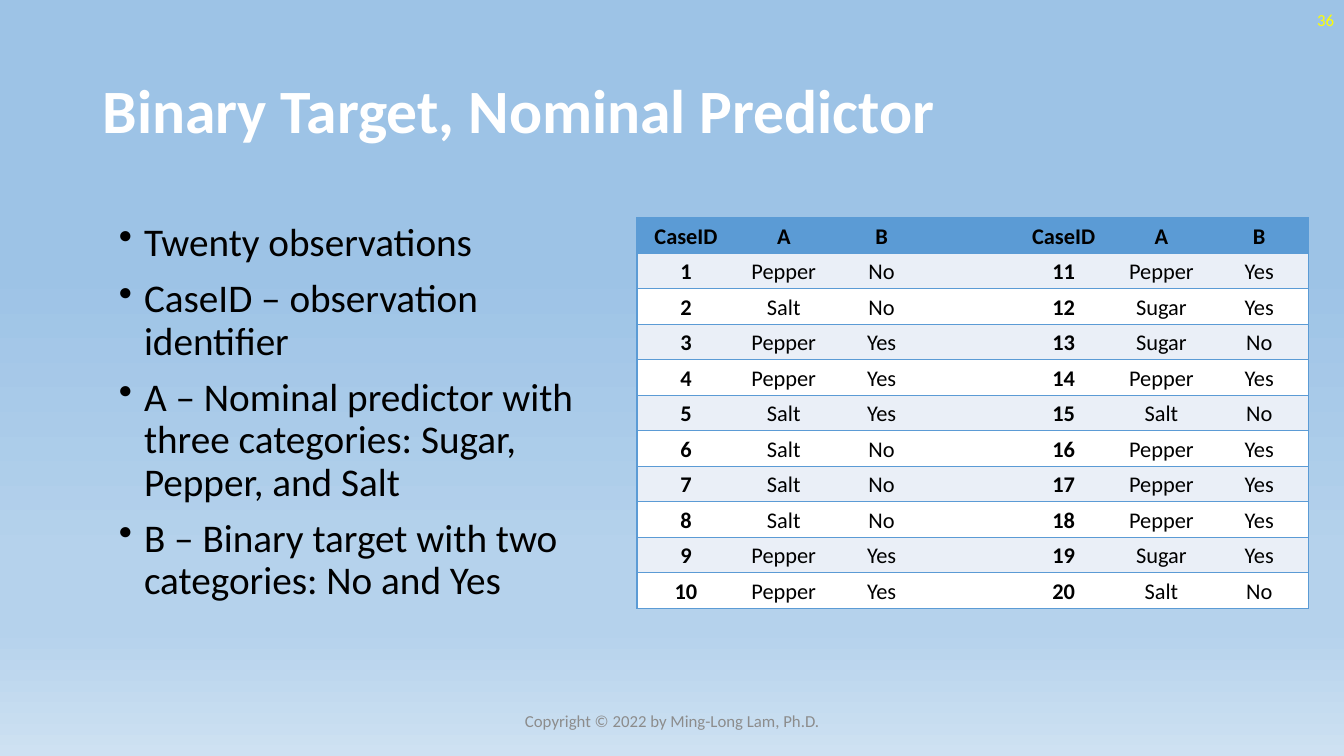
from dataclasses import dataclass
from lxml.etree import SubElement as Sub
from pptx import Presentation as Deck
from pptx.dml.color import RGBColor as Rgb
from pptx.enum.text import MSO_ANCHOR as Anchor, PP_ALIGN as Align
from pptx.oxml.ns import qn
from pptx.util import Emu, Inches, Pt

WIDE, HIGH = Inches(13.33), Inches(7.5)
BLUE, PALE, WHITE, BLACK = "5B9BD5", "EAEFF7", "FFFFFF", "000000"
STOPS = [(35, "9DC3E6"), (74, "B5D2EC"), (83, "B5D2EC"), (100, "CEE1F2")]
HEAD = ["CaseID", "A", "B"]
CASES = [
    ("Pepper", "No"), ("Salt", "No"), ("Pepper", "Yes"), ("Pepper", "Yes"),
    ("Salt", "Yes"), ("Salt", "No"), ("Salt", "No"), ("Salt", "No"),
    ("Pepper", "Yes"), ("Pepper", "Yes"), ("Pepper", "Yes"), ("Sugar", "Yes"),
    ("Sugar", "No"), ("Pepper", "Yes"), ("Salt", "No"), ("Pepper", "Yes"),
    ("Pepper", "Yes"), ("Pepper", "Yes"), ("Sugar", "Yes"), ("Salt", "No"),
]
HALF = len(CASES) // 2


@dataclass
class Area:
    left: float
    top: float
    width: float
    height: float

    def place(self) -> list[Emu]:
        return [across(self.left), down(self.top),
                across(self.width), down(self.height)]


@dataclass
class Block:
    area: Area
    lines: list[str]
    size: int
    color: str
    bold: bool = False
    align: Align = Align.LEFT
    anchor: Anchor = Anchor.MIDDLE
    space: float = 1.0
    bullet: bool = False


BLOCKS = [
    Block(Area(6.9, 5.33, 86.25, 19.33), ["Binary Target, Nominal Predictor"],
          44, WHITE, bold=True, space=0.9),
    Block(Area(33.15, 92.67, 33.75, 5.33),
          ["Copyright © 2022 by Ming-Long Lam, Ph.D."],
          12, "8C8C8C", align=Align.CENTER),
    Block(Area(77.5, 0, 22.5, 5.33), ["36"], 12, "FFFF00", align=Align.RIGHT),
    Block(Area(8.1, 28.8, 37.75, 63.47),
          ["Twenty observations",
           "CaseID – observation identifier",
           "A – Nominal predictor with three categories: Sugar, Pepper, and Salt",
           "B – Binary target with two categories: No and Yes"],
          28, BLACK, anchor=Anchor.TOP, space=0.9, bullet=True),
]
GRID = Area(47.4, 28.8, 49.95, 51.73)
COLS = [7.28] * 3 + [6.27] + [7.28] * 3


def across(share: float) -> Emu:
    return Emu(round(WIDE * share / 100))


def down(share: float) -> Emu:
    return Emu(round(HIGH * share / 100))


def paint(code: str) -> Rgb:
    return Rgb.from_string(code)


def write(para, text: str, size: int, color: str, bold: bool) -> None:
    run = para.add_run()
    run.text = text
    font = run.font
    font.name, font.size, font.bold = "Calibri", Pt(size), bold
    font.color.rgb = paint(color)


def shade(slide) -> None:
    fill = slide.background.fill
    fill.gradient()
    fill.gradient_angle = 270
    stops = slide.element.xpath(".//p:bg//a:gsLst")[0]
    for old in list(stops):
        stops.remove(old)
    for share, code in STOPS:
        stop = Sub(stops, qn("a:gs"), pos=str(share * 1000))
        Sub(stop, qn("a:srgbClr"), val=code)


def draw(slide, block: Block) -> None:
    frame = slide.shapes.add_textbox(*block.area.place()).text_frame
    frame.word_wrap = True
    frame.vertical_anchor = block.anchor
    for num, text in enumerate(block.lines):
        para = frame.add_paragraph() if num else frame.paragraphs[0]
        para.alignment, para.line_spacing = block.align, block.space
        if num:
            para.space_before = Pt(10)
        if block.bullet:
            props = para._p.get_or_add_pPr()
            props.set("marL", str(Inches(0.25)))
            props.set("indent", str(-Inches(0.25)))
            Sub(props, qn("a:buChar"), char="•")
        write(para, text, block.size, block.color, block.bold)


def edge(cell, sides: str) -> None:
    props = cell._tc.get_or_add_tcPr()
    for side in sides:
        line = Sub(props, qn(f"a:ln{side}"), w=str(Pt(1)))
        fill = Sub(line, qn("a:solidFill"))
        Sub(fill, qn("a:srgbClr"), val=BLUE)


def case(num: int) -> list[str]:
    return [str(num + 1), *CASES[num]]


def tabulate(slide) -> None:
    rows = [HEAD + [""] + HEAD]
    rows += [case(num) + [""] + case(num + HALF) for num in range(HALF)]
    table = slide.shapes.add_table(len(rows), len(COLS), *GRID.place()).table
    style = table._tbl.tblPr.find(qn("a:tableStyleId"))
    style.text = "{2D5ABB26-0587-4C30-8999-92F81FD0307C}"
    table.horz_banding = False
    for col, share in zip(table.columns, COLS):
        col.width = across(share)
    last = len(COLS) - 1
    for r, row in enumerate(rows):
        table.rows[r].height = down(GRID.height / len(rows))
        fill = BLUE if r == 0 else PALE if r % 2 else WHITE
        for c, text in enumerate(row):
            cell = table.cell(r, c)
            edge(cell, {0: "LTB", last: "RTB"}.get(c, "TB"))
            cell.fill.solid()
            cell.fill.fore_color.rgb = paint(fill)
            cell.margin_left = cell.margin_right = Inches(0.07)
            cell.margin_top = cell.margin_bottom = 0
            cell.vertical_anchor = Anchor.MIDDLE
            if text:
                para = cell.text_frame.paragraphs[0]
                para.alignment, para.line_spacing = Align.CENTER, 1.07
                write(para, text, 16, BLACK, r == 0 or c in (0, 4))


def main() -> None:
    deck = Deck()
    deck.slide_width, deck.slide_height = WIDE, HIGH
    slide = deck.slides.add_slide(deck.slide_layouts[6])
    shade(slide)
    for block in BLOCKS:
        draw(slide, block)
    tabulate(slide)
    deck.save("out.pptx")


if __name__ == "__main__":
    main()
